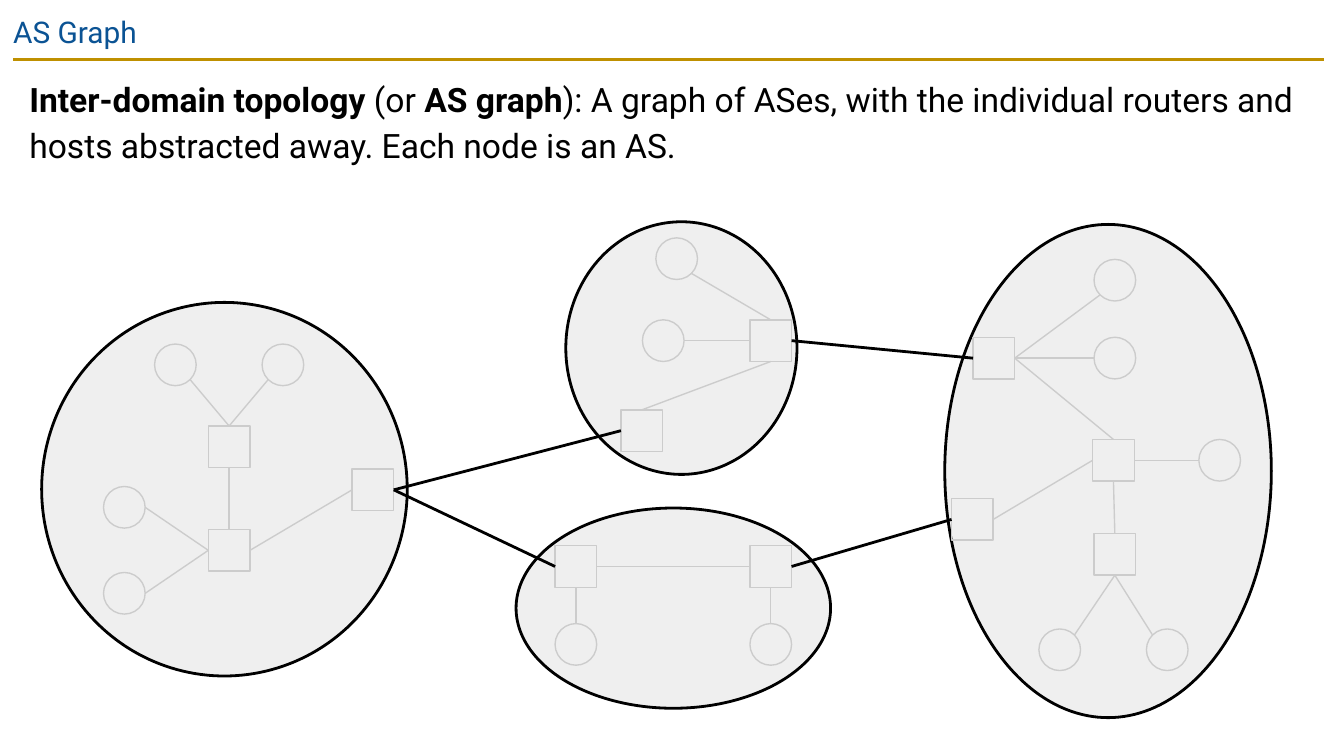
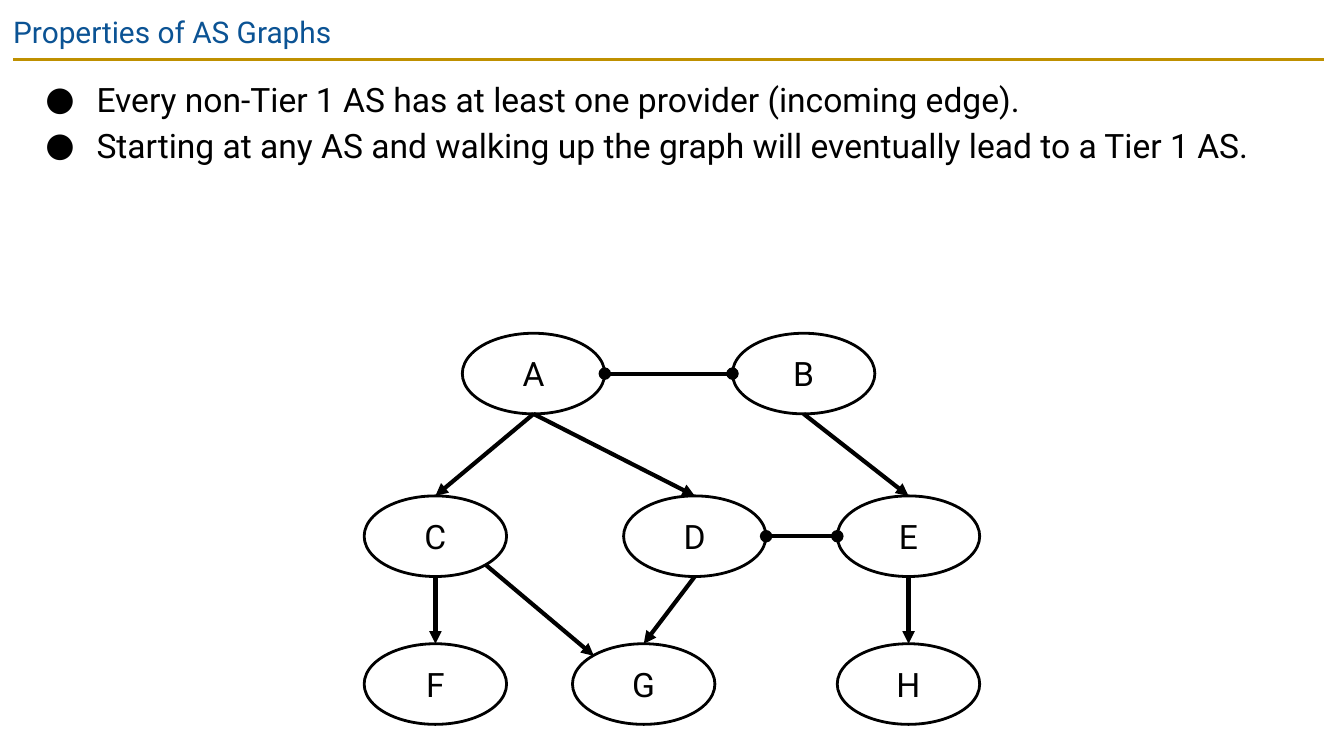
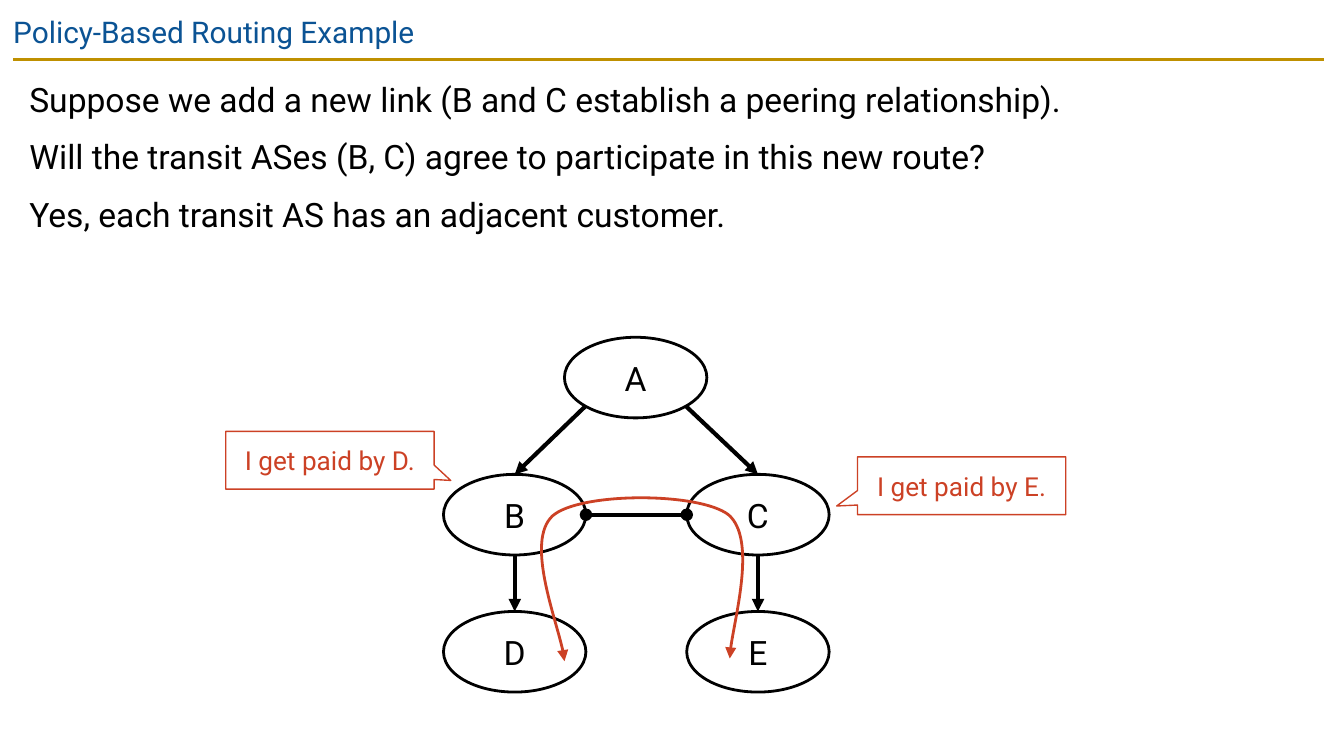
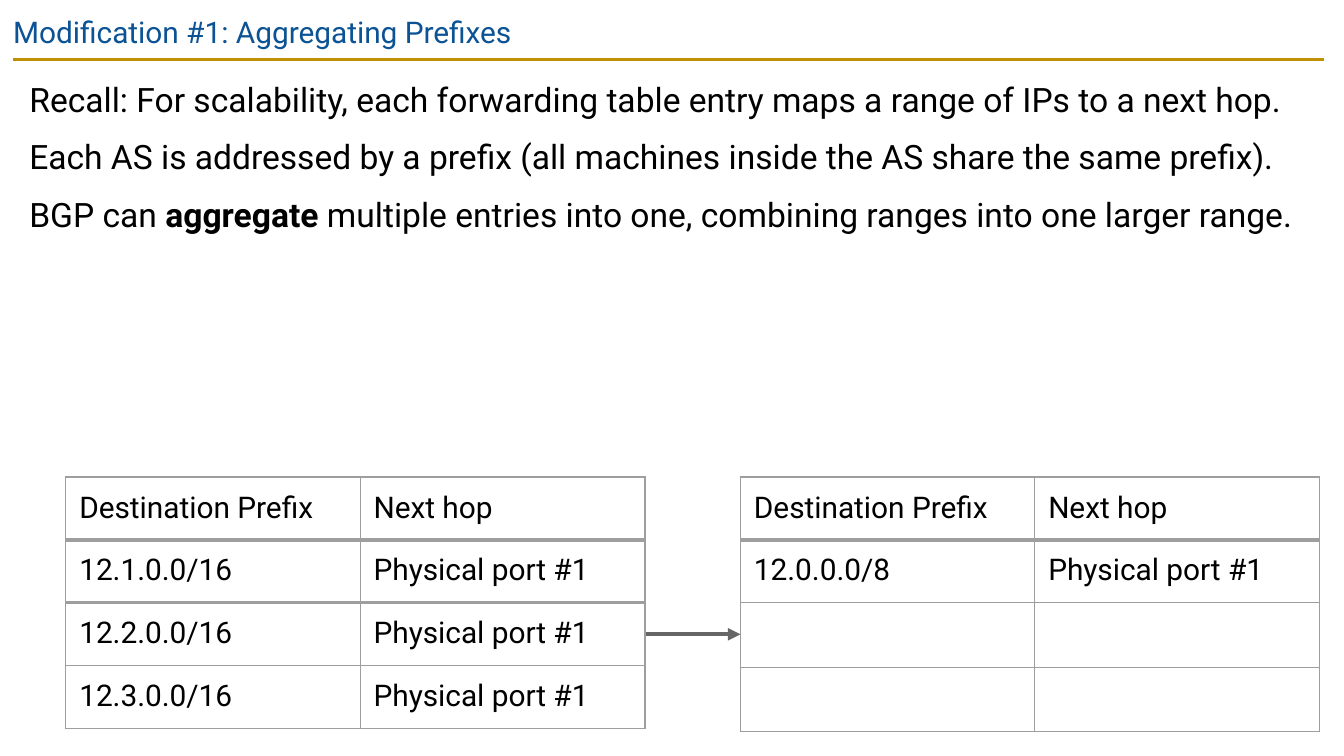
from lxml.etree import SubElement
from pptx import Presentation
from pptx.dml.color import RGBColor
from pptx.enum.shapes import MSO_CONNECTOR, MSO_SHAPE as Preset
from pptx.enum.text import MSO_ANCHOR, PP_ALIGN
from pptx.oxml.ns import qn
from pptx.util import Inches, Pt

# Shared look
FONT = "Roboto"
BLACK, TITLE_BLUE, RULE_GOLD = "000000", "0B5394", "BF9000"
AREA_GRAY, FADED, BORDER_GRAY = "EFEFEF", "CCCCCC", "9E9E9E"
ARROW_GRAY, ROUTE_RED = "666666", "CC4125"
rgb = RGBColor.from_string

# Attachment points as fractions of a shape's box; the first four are side middles
SIDES = {"top": (0.5, 0), "left": (0, 0.5), "bottom": (0.5, 1), "right": (1, 0.5),
         "top-left": (0.15, 0.15), "top-right": (0.85, 0.15),
         "bottom-left": (0.15, 0.85), "bottom-right": (0.85, 0.85)}
SIDE_NAMES = list(SIDES)


def draw_shape(slide, preset, box, colour, width, fill=None, text="", size=18):
    shape = slide.shapes.add_shape(preset, *map(Inches, box))
    shape.shadow.inherit = False
    shape.line.color.rgb = rgb(colour)
    shape.line.width = Pt(width)
    if fill:
        shape.fill.solid()
        shape.fill.fore_color.rgb = rgb(fill)
    else:
        shape.fill.background()
    if text:
        frame = shape.text_frame
        frame.vertical_anchor = MSO_ANCHOR.MIDDLE
        frame.margin_left = frame.margin_right = Inches(0.1)
        frame.margin_top = frame.margin_bottom = Inches(0.1)
        paragraph = frame.paragraphs[0]
        paragraph.text = text
        paragraph.alignment = PP_ALIGN.CENTER
        font = paragraph.font
        font.name, font.size, font.color.rgb = FONT, Pt(size), rgb(colour)
    return shape


def draw_line(slide, start, end, colour, width, head=None, tail=None):
    """Each end is (x, y) in inches or (shape, side name)."""
    points = []
    for first, second in (start, end):
        if isinstance(second, str):
            across, down = SIDES[second]
            points += [int(first.left + across * first.width),
                       int(first.top + down * first.height)]
        else:
            points += [Inches(first), Inches(second)]
    connector = slide.shapes.add_connector(MSO_CONNECTOR.STRAIGHT, *points)
    for (target, side), join in ((start, connector.begin_connect),
                                 (end, connector.end_connect)):
        if side in SIDE_NAMES[:4] and target.auto_shape_type == Preset.RECTANGLE:
            join(target, SIDE_NAMES.index(side))
    connector.line.color.rgb = rgb(colour)
    connector.line.width = Pt(width)
    for tag, kind in (("a:headEnd", head), ("a:tailEnd", tail)):
        if kind:
            SubElement(connector.line._get_or_add_ln(), qn(tag), type=kind)
    SubElement(connector._element.spPr, qn("a:effectLst"))


presentation = Presentation()
presentation.slide_width = Inches(10)
presentation.slide_height = Inches(10) * 9 // 16

# Title, rule and body of every slide; asterisks enclose bold words
contents = [
    ("AS Graph", 1.15, False, [
        "*Inter-domain topology* (or *AS graph*): A graph of ASes, with the individual "
        "routers and hosts abstracted away. Each node is an AS."]),
    ("Properties of AS Graphs", 4.95, True, [
        "Every non-Tier 1 AS has at least one provider (incoming edge).",
        "Starting at any AS and walking up the graph will eventually lead to a Tier 1 AS."]),
    ("Policy-Based Routing Example", 1.65, False, [
        "Suppose we add a new link (B and C establish a peering relationship).",
        "Will the transit ASes (B, C) agree to participate in this new route?",
        "Yes, each transit AS has an adjacent customer."]),
    ("Modification #1: Aggregating Prefixes", 2.17, False, [
        "Recall: For scalability, each forwarding table entry maps a range of IPs to a next hop.",
        "Each AS is addressed by a prefix (all machines inside the AS share the same prefix).",
        "BGP can *aggregate* multiple entries into one, combining ranges into one larger range."]),
]
slides = []
for title, body_height, bulleted, lines in contents:
    slide = presentation.slides.add_slide(presentation.slide_layouts[6])
    slides.append(slide)
    draw_line(slide, (0.1, 0.44), (9.85, 0.44), RULE_GOLD, 1.5)
    for box, texts, size, colour in (((0, 0, 9.32, 0.43), [title], 16, TITLE_BLUE),
                                     ((0.12, 0.44, 9.74, body_height), lines, 18, BLACK)):
        frame = slide.shapes.add_textbox(*map(Inches, box)).text_frame
        frame.word_wrap = True
        frame.margin_left = frame.margin_right = Inches(0.1)
        frame.margin_top = frame.margin_bottom = Inches(0.1)
        for index, text in enumerate(texts):
            paragraph = frame.add_paragraph() if index else frame.paragraphs[0]
            if texts is lines:
                paragraph.line_spacing = 1.15
                paragraph.space_before = Pt(0 if bulleted and index else 6)
                if bulleted:
                    properties = paragraph._p.get_or_add_pPr()
                    properties.set("marL", str(Inches(0.5)))
                    properties.set("indent", str(Inches(-0.38)))
                    bullet_colour = SubElement(properties, qn("a:buClr"))
                    SubElement(bullet_colour, qn("a:srgbClr"), val=BLACK)
                    SubElement(properties, qn("a:buFont"), typeface=FONT)
                    SubElement(properties, qn("a:buChar"), char="●")
            font = paragraph.font
            font.name, font.size, font.color.rgb = FONT, Pt(size), rgb(colour)
            for part, words in enumerate(text.split("*")):
                if words:
                    run = paragraph.add_run()
                    run.text = words
                    if part % 2:
                        run.font.bold = True

# Slide 1: autonomous systems with faded routers and hosts
topology = slides[0]
for area in [(3.84, 3.78, 2.34, 1.49), (7.03, 1.67, 2.43, 3.67),
             (0.31, 2.25, 2.72, 2.78), (4.21, 1.65, 1.72, 1.88)]:
    draw_shape(topology, Preset.OVAL, area, BLACK, 1.5, AREA_GRAY)

routers = {
    "west-low": (1.55, 3.94), "west-high": (1.55, 3.17), "west-exit": (2.62, 3.49),
    "south-left": (4.13, 4.06), "south-right": (5.58, 4.06),
    "north-right": (5.58, 2.38), "north-left": (4.62, 3.05),
    "east-low-entry": (7.08, 3.71), "east-high-entry": (7.24, 2.51),
    "east-core": (8.13, 3.27), "east-leaf": (8.14, 3.97),
}
hosts = {
    "w1": (1.15, 2.56), "w2": (1.95, 2.56), "w3": (0.77, 3.62), "w4": (0.77, 4.26),
    "s1": (4.13, 4.64), "s2": (5.58, 4.64), "n1": (4.78, 2.38), "n2": (4.88, 1.77),
    "e1": (8.14, 2.51), "e2": (7.73, 4.68), "e3": (8.53, 4.68), "e4": (8.92, 3.27),
    "e5": (8.14, 1.93),
}
devices = {}
for preset, places in ((Preset.RECTANGLE, routers), (Preset.OVAL, hosts)):
    for name, place in places.items():
        devices[name] = draw_shape(topology, preset, (*place, 0.31, 0.31), FADED, 0.75)

inner_links = [
    "w1 bottom-right west-high top", "west-high top w2 bottom-left",
    "west-low left w3 right", "west-low left w4 right",
    "west-low right west-exit left", "west-high bottom west-low top",
    "s1 top south-left bottom", "south-left right south-right left",
    "s2 top south-right bottom",
    "north-right top n2 bottom-right", "north-right left n1 right",
    "north-right bottom north-left top",
    "east-high-entry right e1 left", "e3 top-left east-leaf bottom",
    "e2 top-right east-leaf bottom", "east-core top east-high-entry right",
    "east-core left east-low-entry right", "east-core bottom east-leaf top",
    "east-core right e4 left", "east-high-entry right e5 bottom-left",
]
outer_links = [
    "west-exit right south-left left", "south-right right east-low-entry left",
    "west-exit right north-left left", "north-right right east-high-entry left",
]
for links, colour, width in ((inner_links, FADED, 0.75), (outer_links, BLACK, 1.5)):
    for link in links:
        start, start_side, end, end_side = link.split()
        draw_line(topology, (devices[start], start_side), (devices[end], end_side),
                  colour, width)

# Slides 2 and 3: provider arrows and peering links between named ASes
graphs = [
    (slides[1],
     {"A": (3.44, 2.48), "B": (5.45, 2.48), "C": (2.71, 3.69), "D": (4.64, 3.69),
      "E": (6.23, 3.69), "F": (2.71, 4.79), "G": (4.26, 4.79), "H": (6.23, 4.79)},
     ["A bottom C top", "A bottom D top", "C bottom F top", "C bottom-right G top-left",
      "D bottom G top", "E bottom H top", "B bottom E top"],
     ["A right B left", "D right E left"]),
    (slides[2],
     {"A": (4.2, 2.51), "B": (3.3, 3.53), "C": (5.11, 3.53), "D": (3.3, 4.55),
      "E": (5.11, 4.55)},
     ["A bottom-left B top", "A bottom-right C top", "B bottom D top", "C bottom E top"],
     ["C left B right"]),
]
for slide, places, providers, peers in graphs:
    systems = {name: draw_shape(slide, Preset.OVAL, (*place, 1.06, 0.6), BLACK, 1.5, text=name)
               for name, place in places.items()}
    for links, head, tail in ((providers, None, "triangle"), (peers, "oval", "oval")):
        for link in links:
            start, start_side, end, end_side = link.split()
            draw_line(slide, (systems[start], start_side), (systems[end], end_side),
                      BLACK, 2.25, head, tail)

# Slide 3: curved route from D to E, in hundredths of an inch
policy = slides[2]
left, top, right, bottom = 404, 370, 552, 491
builder = policy.shapes.build_freeform(left, top, scale=Inches(0.01))
builder.add_line_segments([(right, top), (right, bottom), (left, bottom)], close=False)
route = builder.convert_to_shape()
outline = next(route._element.iter(qn("a:path")))
for segment in list(outline):
    outline.remove(segment)
for tag, points in [("a:moveTo", [(420, 492)]),
                    ("a:cubicBezTo", [(419, 474), (391, 403), (411, 384)]),
                    ("a:cubicBezTo", [(431, 366), (520, 366), (542, 383)]),
                    ("a:cubicBezTo", [(563, 401), (543, 473), (543, 490)])]:
    segment = SubElement(outline, qn(tag))
    for x, y in points:
        SubElement(segment, qn("a:pt"), x=str(x - left), y=str(y - top))
route.shadow.inherit = False
route.fill.background()
route.line.color.rgb = rgb(ROUTE_RED)
route.line.width = Pt(1.5)
for tag in ("a:headEnd", "a:tailEnd"):
    SubElement(route.line._get_or_add_ln(), qn(tag), type="triangle")

# Slide 3: callouts
for customer, x, y, pointer in (("D", 1.68, 3.21, 0.58), ("E", 6.38, 3.4, -0.6)):
    callout = draw_shape(policy, Preset.ROUNDED_RECTANGULAR_CALLOUT, (x, y, 1.55, 0.43),
                         ROUTE_RED, 0.75, text=f"I get paid by {customer}.", size=14)
    for index, value in enumerate((pointer, 0.35, 0)):
        callout.adjustments[index] = value

# Slide 4: forwarding tables before and after aggregation
aggregation = slides[3]
header, port = ("Destination Prefix", "Next hop"), "Physical port #1"
tables = [
    (0.49, (0, 1), [header] + [(f"12.{n}.0.0/16", port) for n in (1, 2, 3)]),
    (5.51, (0,), [header, ("12.0.0.0/8", port), ("", ""), ("", "")]),
]
for x, heavy_rows, rows in tables:
    heights = [0.42 if row[0] else 0.48 for row in rows]
    table = aggregation.shapes.add_table(len(rows), 2, Inches(x), Inches(3.55),
                                         Inches(4.31), Inches(sum(heights))).table
    table.first_row = table.horz_banding = False
    for column, width in zip(table.columns, (2.19, 2.12)):
        column.width = Inches(width)
    for row_index, (row, height) in enumerate(zip(rows, heights)):
        table.rows[row_index].height = Inches(height)
        for column_index, text in enumerate(row):
            cell = table.cell(row_index, column_index)
            cell.margin_left = cell.margin_right = Inches(0.1)
            cell.margin_top = cell.margin_bottom = Inches(0.1)
            paragraph = cell.text_frame.paragraphs[0]
            if text:
                paragraph.text = text
            font = paragraph.font
            font.name, font.size, font.color.rgb = FONT, Pt(16), rgb(BLACK)
            for side in "LRTB":
                heavy = (side == "B" and row_index in heavy_rows
                         or side == "T" and row_index - 1 in heavy_rows)
                border = SubElement(cell._tc.get_or_add_tcPr(), qn("a:ln" + side),
                                    w=str(Pt(2.25 if heavy else 0.75)))
                fill = SubElement(border, qn("a:solidFill"))
                SubElement(fill, qn("a:srgbClr"), val=BORDER_GRAY)
            cell.fill.background()
draw_line(aggregation, (4.81, 4.72), (5.51, 4.72), ARROW_GRAY, 2.25, tail="triangle")

presentation.save("out.pptx")
